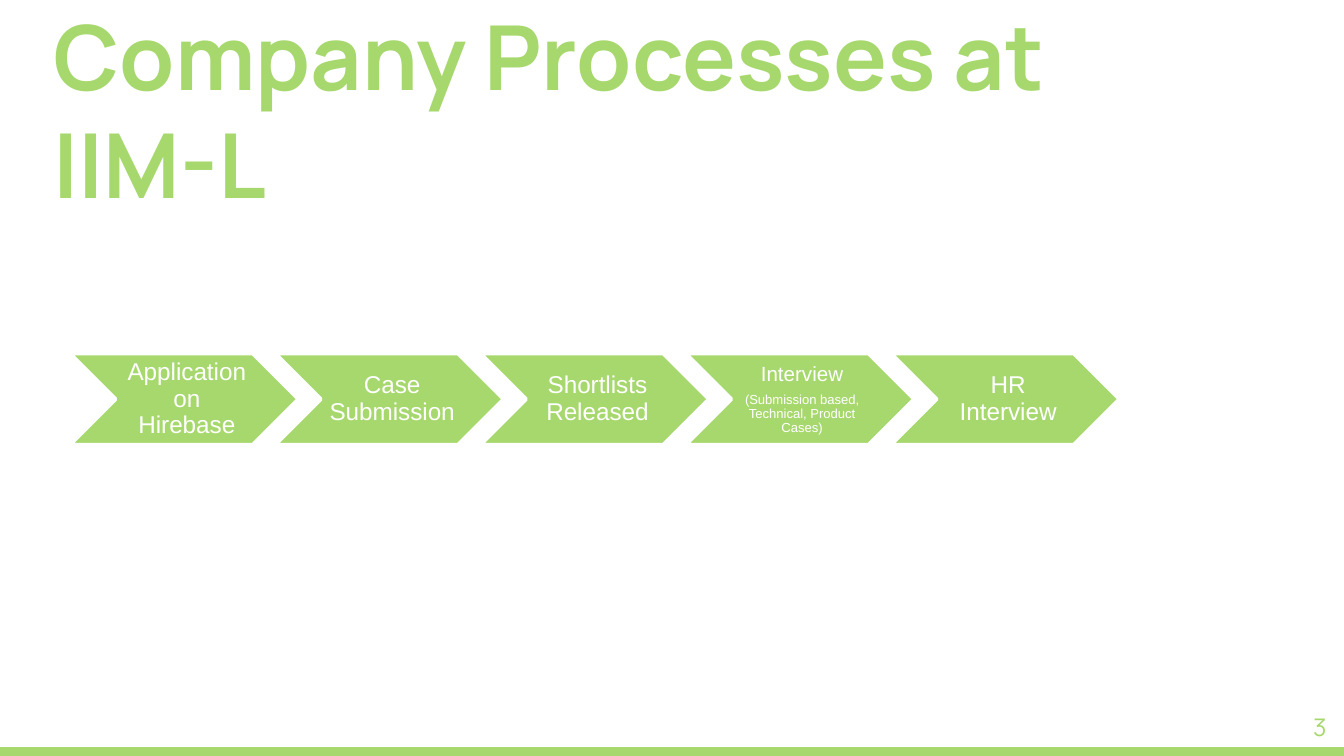
from pptx import Presentation
from pptx.dml.color import RGBColor
from pptx.enum.shapes import MSO_SHAPE as Shape
from pptx.enum.text import MSO_ANCHOR as Anchor, MSO_AUTO_SIZE as AutoSize, PP_ALIGN as Align
from pptx.util import Inches, Pt

GREEN, WHITE = "A7D86D", "FFFFFF"

# Each step is a list of (text, size) paragraphs
STEPS = [
    [("Application on Hirebase", 13)],
    [("Case Submission", 13)],
    [("Shortlists Released", 13)],
    [("Interview", 11), ("(Submission based, Technical, Product Cases)", 7)],
    [("HR Interview", 13)],
]
FIRST_LEFT, LAST_LEFT, STEP_TOP = 0.52, 6.63, 2.63
STEP_PITCH = (LAST_LEFT - FIRST_LEFT) / (len(STEPS) - 1)
STEP_WIDTH, STEP_HEIGHT = 1.7, 0.68
LABEL_WIDTH = 1.02
LABEL_OFFSET = (STEP_WIDTH - LABEL_WIDTH) / 2


def color(value):
    return RGBColor.from_string(value)


def apply_format(target, values):
    for name, value in values.items():
        setattr(target, name, value)


def format_frame(frame, anchor, margins=(0, 0, 0, 0)):
    left, top, right, bottom = (Inches(margin) for margin in margins)
    apply_format(frame, {
        "word_wrap": True, "auto_size": AutoSize.NONE, "vertical_anchor": anchor,
        "margin_left": left, "margin_top": top,
        "margin_right": right, "margin_bottom": bottom,
    })


def write_paragraph(paragraph, text, size, font, fill, align, bold=False):
    paragraph.alignment = align
    run = paragraph.add_run()
    run.text = text
    apply_format(run.font, {"name": font, "size": Pt(size), "bold": bold})
    run.font.color.rgb = color(fill)


def add_filled_shape(shapes, kind, left, top, width, height, line=None):
    shape = shapes.add_shape(kind, Inches(left), Inches(top), Inches(width), Inches(height))
    shape.shadow.inherit = False
    shape.fill.solid()
    shape.fill.fore_color.rgb = color(GREEN)
    if line:
        shape.line.color.rgb = color(line)
        shape.line.width = Pt(2)
    else:
        shape.line.fill.background()


def add_title(slide, text):
    title = slide.shapes.title
    apply_format(title, {
        "left": Inches(0.4), "top": Inches(0.77),
        "width": Inches(7.74), "height": Inches(0.84),
    })
    format_frame(title.text_frame, Anchor.BOTTOM)
    write_paragraph(title.text_frame.paragraphs[0], text, 48, "Manrope", GREEN, Align.LEFT, True)


def add_page_number(slide, number):
    box = slide.shapes.add_textbox(Inches(9.27), Inches(5.19), Inches(0.6), Inches(0.43))
    format_frame(box.text_frame, Anchor.MIDDLE)
    write_paragraph(box.text_frame.paragraphs[0], number, 13, "Manrope", GREEN, Align.RIGHT)


def add_step(shapes, left, lines):
    add_filled_shape(shapes, Shape.CHEVRON, left, STEP_TOP, STEP_WIDTH, STEP_HEIGHT, WHITE)
    label = shapes.add_textbox(Inches(left + LABEL_OFFSET), Inches(STEP_TOP),
                               Inches(LABEL_WIDTH), Inches(STEP_HEIGHT))
    frame = label.text_frame
    left_margin = 0.05 if len(lines) > 1 else 0.06
    format_frame(frame, Anchor.MIDDLE, (left_margin, 0.02, 0.02, 0.02))
    for index, (text, size) in enumerate(lines):
        paragraph = frame.add_paragraph() if index else frame.paragraphs[0]
        paragraph.line_spacing = 0.9
        if index < len(lines) - 1:
            paragraph.space_after = Pt(4)
        write_paragraph(paragraph, text, size, "Arial", WHITE, Align.CENTER)


def main():
    # Widescreen 16:9 page
    presentation = Presentation()
    presentation.slide_width = Inches(10)
    presentation.slide_height = Inches(10 * 9 / 16)
    slide = presentation.slides.add_slide(presentation.slide_layouts[5])

    # Footer band, title and page number
    add_filled_shape(slide.shapes, Shape.RECTANGLE, 0, 5.56, 10, 0.07)
    add_title(slide, "Company Processes at IIM-L")
    add_page_number(slide, "3")

    # Process chevrons
    process = slide.shapes.add_group_shape()
    for index, lines in enumerate(STEPS):
        add_step(process.shapes, FIRST_LEFT + index * STEP_PITCH, lines)

    presentation.save("out.pptx")


if __name__ == "__main__":
    main()
